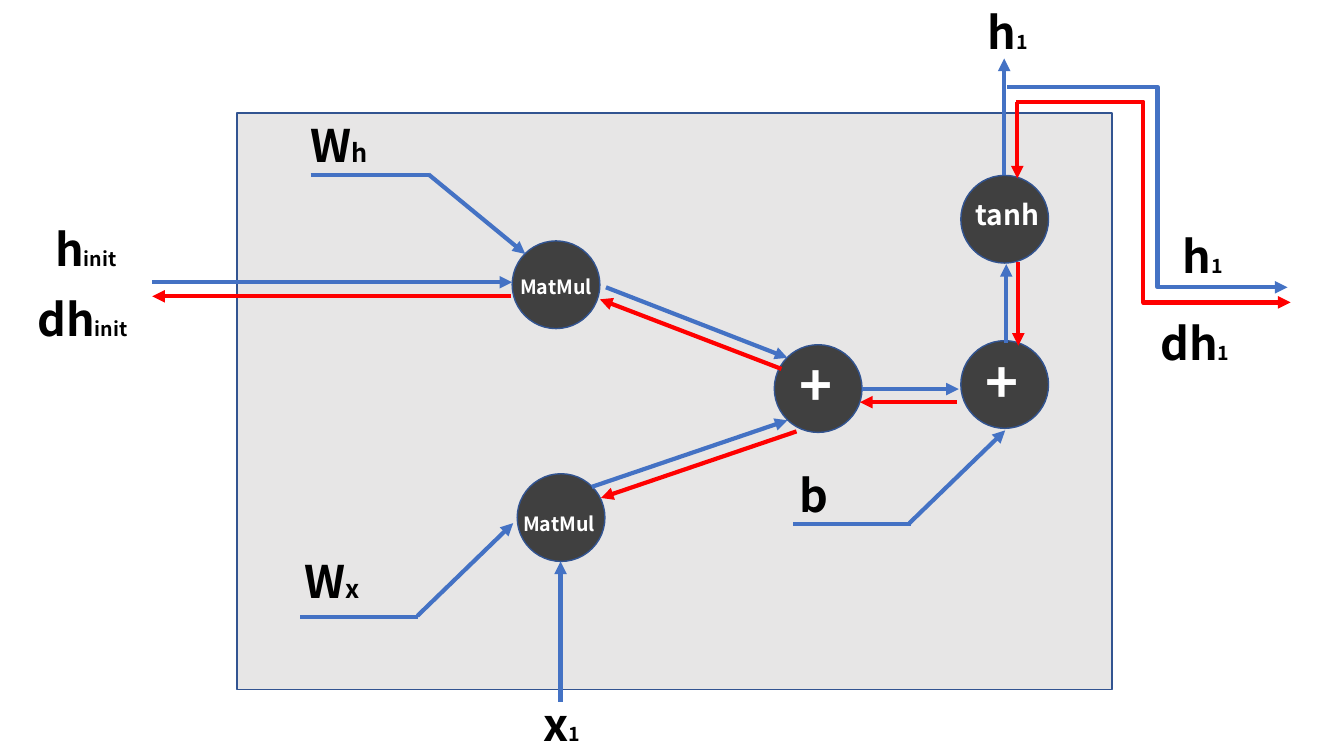
from lxml import etree
from pptx import Presentation
from pptx.dml.color import RGBColor
from pptx.enum.shapes import MSO_CONNECTOR, MSO_SHAPE
from pptx.enum.text import MSO_AUTO_SIZE
from pptx.oxml.ns import qn
from pptx.util import Inches, Pt

RECT, OVAL = MSO_SHAPE.RECTANGLE, MSO_SHAPE.OVAL
LINE, ELBOW = MSO_CONNECTOR.STRAIGHT, MSO_CONNECTOR.ELBOW
FIT = MSO_AUTO_SIZE.SHAPE_TO_FIT_TEXT
BLUE = RGBColor(0x44, 0x72, 0xC4)
RED = RGBColor(0xFF, 0, 0)
EDGE = RGBColor(0x32, 0x54, 0x91)
GREY = RGBColor(0xE7, 0xE6, 0xE6)
DARK = RGBColor(0x40, 0x40, 0x40)
BLACK = RGBColor(0, 0, 0)
WHITE = RGBColor(0xFF, 0xFF, 0xFF)
FONT = "Noto Sans CJK KR"

deck = Presentation()
deck.slide_width, deck.slide_height = Inches(13.33), Inches(7.5)
slide = deck.slides.add_slide(deck.slide_layouts[6])


def put_shape(home, kind, place, fill):
    shape = home.add_shape(kind, *map(Inches, place))
    shape.shadow.inherit = False
    shape.fill.solid()
    shape.fill.fore_color.rgb = fill
    shape.line.color.rgb = EDGE
    shape.line.width = Pt(1)


def put_text(home, place, parts, color):
    box = home.add_textbox(*map(Inches, place))
    frame = box.text_frame
    frame.word_wrap = True
    frame.auto_size = FIT
    for word, size in parts:
        run = frame.paragraphs[0].add_run()
        run.text = word
        run.font.color.rgb = color
        for key, value in {"name": FONT, "size": Pt(size), "bold": True}.items():
            setattr(run.font, key, value)
        for tag in ("a:ea", "a:cs"):
            etree.SubElement(run.font._element, qn(tag), typeface=FONT)


put_shape(slide.shapes, RECT, (2.35, 1.12, 8.68, 5.72), GREY)

SIDE = 0.87
nodes = [
    (5.08, 2.39, "MatMul", 14, (5.06, 2.68, 0.95, 0.34)),
    (5.13, 4.7, "MatMul", 14, (5.09, 5.03, 0.95, 0.34)),
    (7.68, 3.42, "+", 40, (7.83, 3.43, 0.59, 0.77)),
    (9.53, 3.38, "+", 40, (9.68, 3.4, 0.59, 0.77)),
    (9.53, 1.74, "tanh", 20, (9.58, 1.91, 0.85, 0.44)),
]
for left, top, word, size, place in nodes:
    group = slide.shapes.add_group_shape()
    put_shape(group.shapes, OVAL, (left, top, SIDE, SIDE), DARK)
    put_text(group.shapes, place, [(word, size)], WHITE)

stems = [
    (3.08, 1.74, 4.25, 1.74),
    (2.98, 6.12, 4.15, 6.12),
    (7.87, 5.2, 9.04, 5.2),
]
ahead = [
    (5.56, 6.96, 5.56, 5.57),
    (5.87, 4.83, 7.81, 4.17),
    (6.01, 2.85, 7.81, 3.55),
    (4.14, 6.11, 5.09, 5.19),
    (4.25, 1.73, 5.21, 2.52),
    (1.51, 2.8, 5.08, 2.8),
    (8.55, 3.86, 9.51, 3.86),
    (9.02, 5.19, 9.97, 4.27),
    (9.98, 3.4, 9.98, 2.62),
    (9.96, 1.74, 9.96, 0.58),
]
back = [
    (10.09, 1.01, 10.09, 1.77),
    (10.1, 2.6, 10.1, 3.43),
    (9.49, 3.99, 8.53, 3.99),
    (7.75, 3.66, 5.95, 2.97),
    (7.9, 4.28, 5.96, 4.94),
    (5.07, 2.94, 1.51, 2.94),
]
links = [(ends, BLUE, False, None) for ends in stems]
links += [(ends, BLUE, True, None) for ends in ahead]
links += [(ends, RED, True, None) for ends in back]
links += [
    ((9.99, 0.86, 12.77, 2.85), BLUE, True, 53600),
    ((10.08, 1.01, 12.8, 3), RED, True, 46300),
]
for ends, color, arrow, bend in links:
    link = slide.shapes.add_connector(ELBOW if bend else LINE, *map(Inches, ends))
    link.line.color.rgb = color
    link.line.width = Pt(3)
    props = link._element.spPr
    etree.SubElement(props, qn("a:effectLst"))
    if arrow:
        etree.SubElement(props.find(qn("a:ln")), qn("a:tailEnd"), type="triangle")
    if bend:
        guides = props.find(qn("a:prstGeom")).find(qn("a:avLst"))
        etree.SubElement(guides, qn("a:gd"), name="adj1", fmla=f"val {bend}")

labels = [
    (5.29, 6.86, 0.84, "x", "1", 14),
    (2.92, 5.44, 0.9, "W", "x", 18),
    (2.98, 1.12, 0.9, "W", "h", 18),
    (0.45, 2.15, 0.9, "h", "init", 14),
    (0.27, 2.84, 1.48, "dh", "init", 14),
    (7.83, 4.59, 0.48, "b", "", 14),
    (9.7, 0, 0.77, "h", "1", 14),
    (11.63, 2.22, 0.9, "h", "1", 14),
    (11.41, 3.08, 1.16, "dh", "1", 14),
]
for left, top, width, main, sub, size in labels:
    parts = [(main, 32), (sub, size)] if sub else [(main, 32)]
    put_text(slide.shapes, (left, top, width, 0.64), parts, BLACK)

deck.save("out.pptx")
